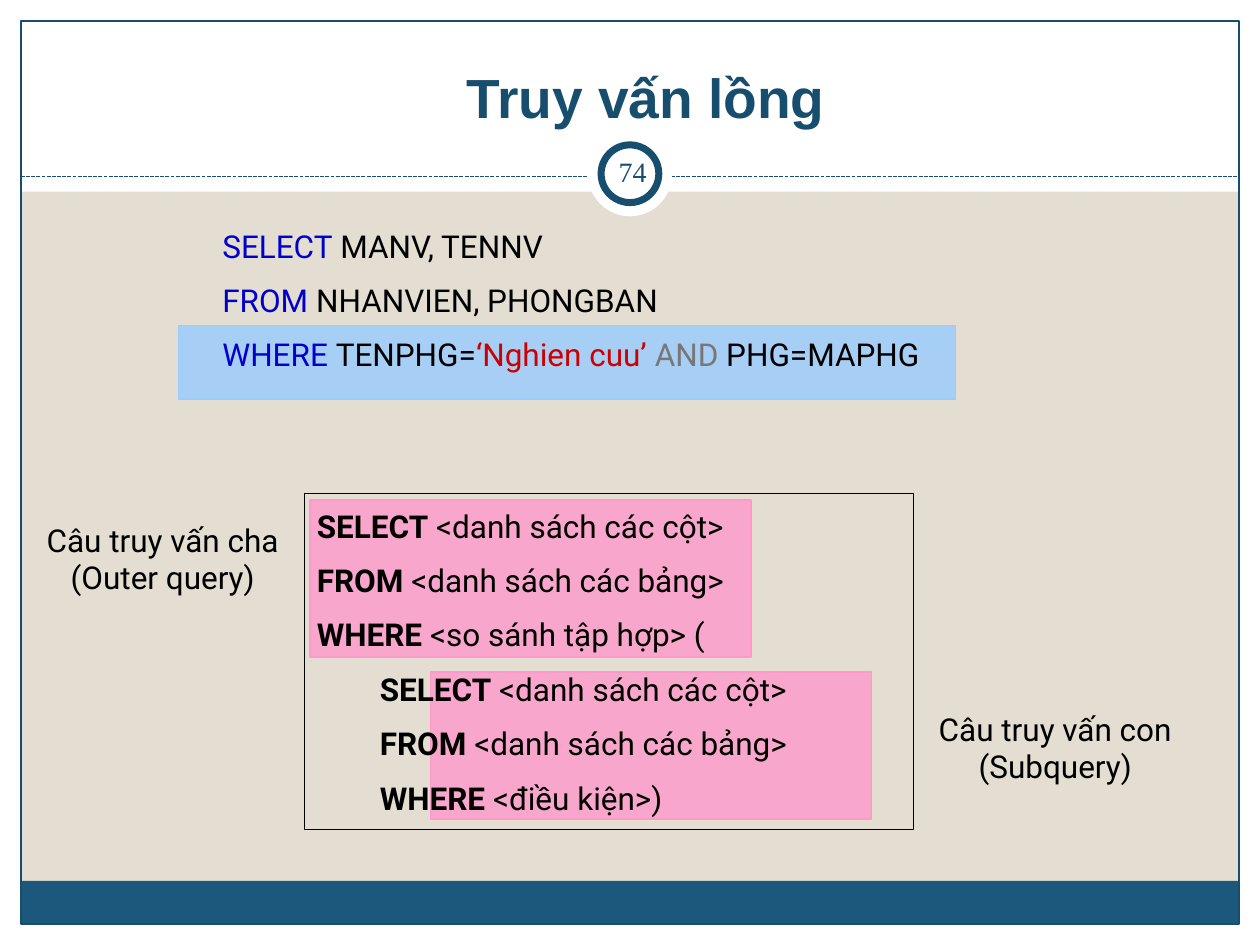
from pptx import Presentation
from pptx.dml.color import RGBColor
from pptx.enum.dml import MSO_LINE_DASH_STYLE as Dash
from pptx.enum.shapes import MSO_CONNECTOR as Connector, MSO_SHAPE as Shape
from pptx.enum.text import MSO_ANCHOR as Anchor, MSO_AUTO_SIZE as AutoSize, PP_ALIGN as Align
from pptx.oxml.ns import qn
from pptx.util import Inches, Pt
from lxml import etree

WHITE = RGBColor(0xFF, 0xFF, 0xFF)
BLACK = RGBColor(0, 0, 0)
SAND = RGBColor(0xE3, 0xDE, 0xD1)
NAVY = RGBColor(0x18, 0x4E, 0x6D)
TEAL = RGBColor(0x1B, 0x58, 0x7C)
PINK = RGBColor(0xFF, 0x99, 0xCC)
SKY = RGBColor(0x99, 0xCC, 0xFF)
BLUE = RGBColor(0, 0, 0xCC)
RED = RGBColor(0xCC, 0, 0)
GRAY = RGBColor(0x77, 0x77, 0x77)

COLUMNS, ROWS = 120, 90
CELL = Inches(10) // COLUMNS

deck = Presentation()
deck.slide_width, deck.slide_height = COLUMNS * CELL, ROWS * CELL
page = deck.slides.add_slide(deck.slide_layouts[5])
page.background.fill.solid()
page.background.fill.fore_color.rgb = SAND


def add_block(kind, cells, fill=None, line=None, width=1, alpha=None):
    block = page.shapes.add_shape(kind, *[int(cell * CELL) for cell in cells])
    block.shadow.inherit = False
    if fill is None:
        block.fill.background()
    else:
        block.fill.solid()
        block.fill.fore_color.rgb = fill
    if alpha:
        color = block.fill._xPr.find(".//" + qn("a:srgbClr"))
        etree.SubElement(color, qn("a:alpha"), val=str(alpha * 1000))
    if line is None:
        block.line.fill.background()
    else:
        block.line.color.rgb = line
        block.line.width = Pt(width)
    return block


def write(box, lines, align=Align.LEFT, anchor=Anchor.TOP, font="Roboto", size=18):
    frame = box.text_frame
    frame.word_wrap = True
    frame.auto_size = AutoSize.NONE
    frame.vertical_anchor = anchor
    for index, spans in enumerate(lines):
        para = frame.add_paragraph() if index else frame.paragraphs[0]
        para.alignment = align
        para.space_before = Pt(9.5 if index else 0)
        for text, color, bold in spans:
            span = para.add_run()
            span.text = text
            span.font.name = font
            span.font.size = Pt(size)
            span.font.bold = bold
            span.font.color.rgb = color


for cells in [
    (0, 88, COLUMNS, 2),
    (0, 0, COLUMNS, 18.25),
    (0, 0, 2, ROWS),
    (118, 0, 2, ROWS),
]:
    add_block(Shape.RECTANGLE, cells, WHITE)
add_block(Shape.RECTANGLE, (2, 83.9, 116, 4.1), TEAL)
add_block(Shape.RECTANGLE, (2, 2, 116, 86), line=NAVY, width=0.75)

rule_top = int(16.8 * CELL)
rule = page.shapes.add_connector(Connector.STRAIGHT, 2 * CELL, rule_top, 118 * CELL, rule_top)
rule.line.color.rgb = NAVY
rule.line.width = Pt(0.75)
rule.line.dash_style = Dash.SQUARE_DOT
etree.SubElement(rule.element.spPr, qn("a:effectLst"))

add_block(Shape.OVAL, (56, 12.6, 8, 8), WHITE)
badge = add_block(Shape.OVAL, (57.25, 13.8, 5.5, 5.5), WHITE, NAVY, 4)

title = page.shapes.title
title.left, title.top = 6 * CELL, int(4.7 * CELL)
title.width, title.height = 111 * CELL, int(8.2 * CELL)
write(title, [[("Truy vấn lồng", NAVY, True)]], Align.CENTER, Anchor.BOTTOM, "Arial", 31.5)
badge.element.addnext(title.element)

for cells, color in [
    ((29.5, 47.6, 42, 15), PINK),
    ((41, 64, 42, 14), PINK),
    ((17, 31, 74, 7), SKY),
]:
    add_block(Shape.RECTANGLE, cells, color, color, alpha=80)

example = page.shapes.add_textbox(20 * CELL, 21 * CELL, 73 * CELL, int(15.6 * CELL))
write(example, [
    [("SELECT", BLUE, False), (" MANV, TENNV", BLACK, False)],
    [("FROM ", BLUE, False), ("NHANVIEN, PHONGBAN", BLACK, False)],
    [("WHERE ", BLUE, False), ("TENPHG=", BLACK, False), ("‘Nghien cuu’ ", RED, False),
     ("AND ", GRAY, False), ("PHG=MAPHG", BLACK, False)],
])

syntax = add_block(Shape.RECTANGLE, (29, 47, 58, 32), line=BLACK)
clauses = [
    ("SELECT", " <danh sách các cột>"),
    ("FROM", " <danh sách các bảng>"),
    ("WHERE", " <so sánh tập hợp> ("),
    ("\tSELECT", " <danh sách các cột>"),
    ("\tFROM", " <danh sách các bảng>"),
    ("\tWHERE", " <điều kiện>)"),
]
write(syntax, [[(keyword, BLACK, True), (rest, BLACK, False)] for keyword, rest in clauses],
      anchor=Anchor.MIDDLE)

for column, row, text in [
    (3, 49, "Câu truy vấn cha (Outer query)"),
    (88, 67, "Câu truy vấn con (Subquery)"),
]:
    label = page.shapes.add_textbox(column * CELL, row * CELL, 25 * CELL, int(8.4 * CELL))
    write(label, [[(text, BLACK, False)]], Align.CENTER)

number = page.shapes.add_textbox(int(57.25 * CELL), int(13.4 * CELL), 6 * CELL, int(5.8 * CELL))
frame = number.text_frame
frame.margin_left = frame.margin_right = frame.margin_top = frame.margin_bottom = Inches(0.05)
write(number, [[("74", NAVY, False)]], Align.CENTER, Anchor.MIDDLE, "Times New Roman", 16)

deck.save("out.pptx")
